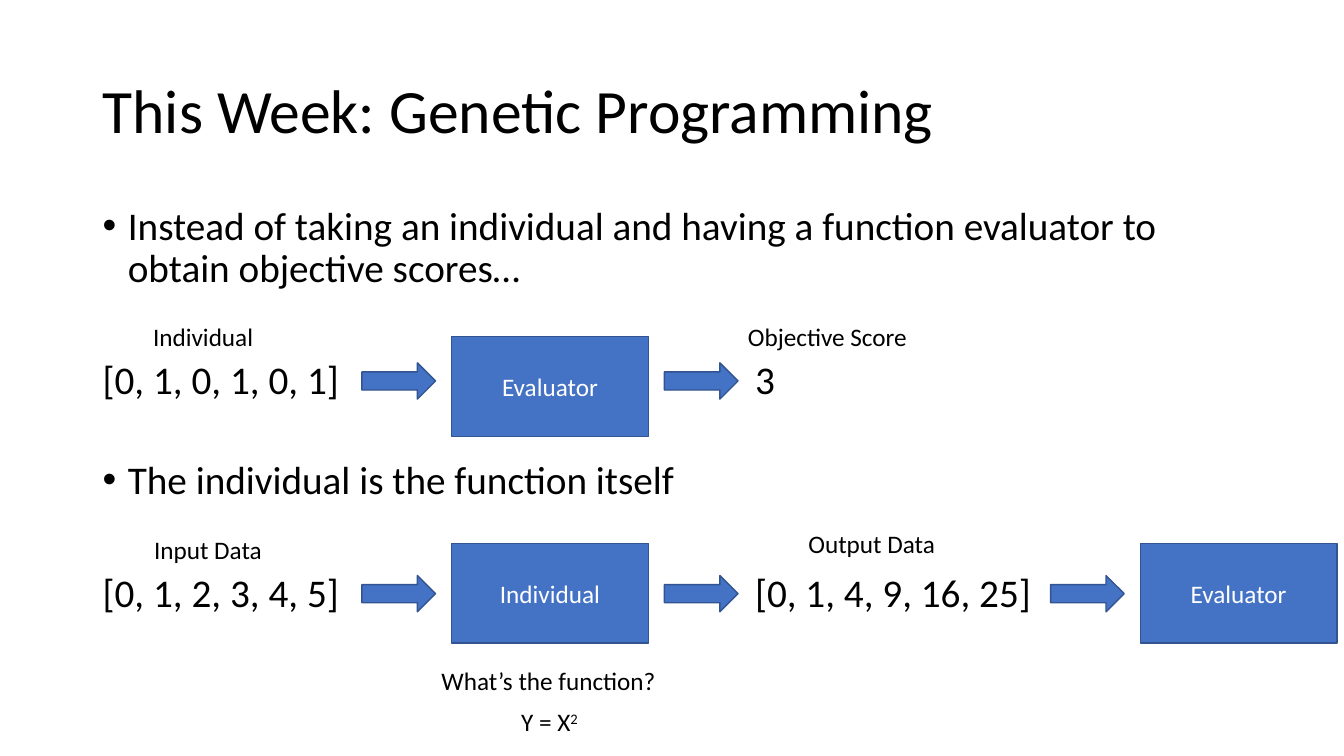
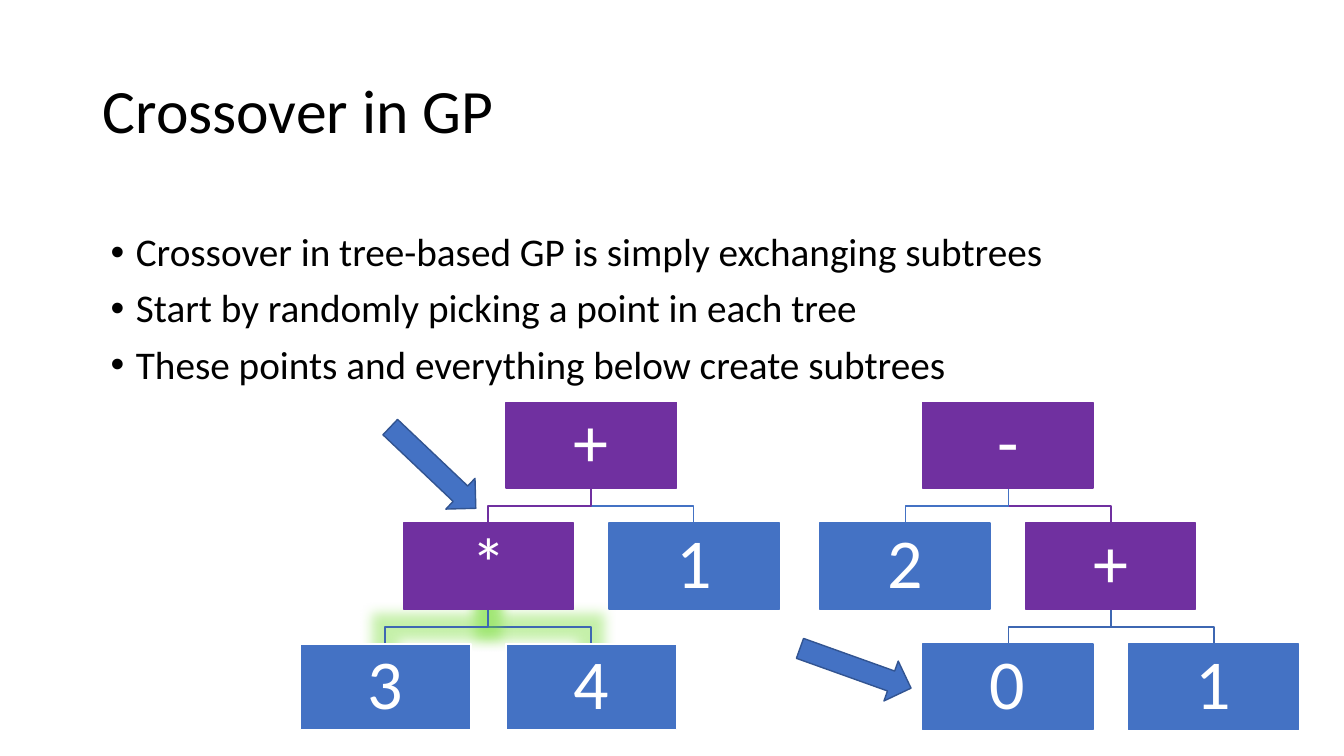
from lxml.etree import SubElement
from pptx import Presentation
from pptx.dml.color import RGBColor
from pptx.enum.shapes import MSO_SHAPE as SHAPE
from pptx.enum.text import MSO_ANCHOR as ANCHOR, PP_ALIGN as ALIGN
from pptx.oxml.ns import qn
from pptx.util import Emu, Pt

PX = 9144
FONT = "Calibri"
COLORS = {
    "text": "000000",
    "white": "FFFFFF",
    "blue": "4472C4",
    "outline": "325491",
    "edge": "3E67B2",
    "purple": "7030A0",
    "glow": "6FDB2A",
}
NODE_W, NODE_H = 169, 85
BRANCH, LEVEL = 102, 120


def px(n):
    """Convert px to EMU."""
    return Emu(round(n * PX))


def rgb(name):
    """Look up a named colour."""
    return RGBColor.from_string(COLORS[name])


def write(tf, paras, size=18, color="text", align=ALIGN.LEFT, anchor=ANCHOR.TOP,
          wrap=True, spacing=None, before=0, bullet=False, inset=None):
    """Fill a text frame; each paragraph is a string or a list of (text, baseline)."""
    tf.word_wrap = wrap
    tf.vertical_anchor = anchor
    if inset is not None:
        tf.margin_left = tf.margin_right = px(inset)
        tf.margin_top = tf.margin_bottom = px(inset)
    for i, para in enumerate(paras):
        p = tf.add_paragraph() if i else tf.paragraphs[0]
        p.alignment = align
        p.space_before = Pt(before)
        if spacing:
            p.line_spacing = spacing
        if bullet:
            pPr = p._p.get_or_add_pPr()
            pPr.set("marL", "228600")
            pPr.set("indent", "-228600")
            SubElement(pPr, qn("a:buFont"), typeface="Arial")
            SubElement(pPr, qn("a:buChar"), char="•")
        for text, baseline in [(para, 0)] if isinstance(para, str) else para:
            r = p.add_run()
            r.text = text
            r.font.name = FONT
            r.font.size = Pt(size)
            r.font.color.rgb = rgb(color)
            if baseline:
                r._r.get_or_add_rPr().set("baseline", str(baseline * 1000))


def add_text(sl, x, y, w, h, paras, **fmt):
    """Add a text box."""
    sp = sl.shapes.add_textbox(px(x), px(y), px(w), px(h))
    write(sp.text_frame, paras, **fmt)


def add_label(sl, x, y, w, para):
    """Add a one-line 18 pt caption."""
    add_text(sl, x, y, w, 40, [para], wrap=False)


def add_bullets(sl, x, y, h, paras):
    """Add a bulleted body block."""
    add_text(sl, x, y, 1150, h, paras, size=28, spacing=0.9, before=10, bullet=True)


def add_data(sl, x, mid, text):
    """Add a body-size value centred on a height."""
    add_text(sl, x, mid - 25, 320, 50, [text], size=28, spacing=0.9,
             anchor=ANCHOR.MIDDLE)


def add_solid(sl, kind, x, y, w, h, fill="blue", line="outline", rotation=0):
    """Add a filled, outlined preset shape."""
    sp = sl.shapes.add_shape(kind, px(x), px(y), px(w), px(h))
    sp.shadow.inherit = False
    sp.fill.solid()
    sp.fill.fore_color.rgb = rgb(fill)
    sp.line.color.rgb = rgb(line)
    sp.line.width = Pt(1)
    sp.rotation = rotation
    return sp


def add_arrow(sl, x, y, w=73, h=36, rotation=0):
    """Add a block arrow."""
    add_solid(sl, SHAPE.RIGHT_ARROW, x, y, w, h, rotation=rotation)


def add_box(sl, x, y, text):
    """Add a process box."""
    sp = add_solid(sl, SHAPE.RECTANGLE, x, y, 195, 99)
    write(sp.text_frame, [text], color="white", align=ALIGN.CENTER, anchor=ANCHOR.MIDDLE)


def add_flow(sl, x, y, lift, source, box, result):
    """Add a row of input, box and output; y is the arrow top, lift the box rise."""
    for left, label_y, (text, label, dx, width) in (
        (x, y - 46, source),
        (x + 647, y - lift - 20, result),
    ):
        add_data(sl, left, y + 19, text)
        add_label(sl, x + dx, label_y, width, label)
    add_arrow(sl, x + 267, y)
    add_box(sl, x + 356, y - lift, box)
    add_arrow(sl, x + 567, y)


def add_edge(sl, x, y, dx, color, glow):
    """Add a stepped branch from a parent's foot to a child's top."""
    drop = LEVEL - NODE_H
    fb = sl.shapes.build_freeform(x, y, scale=PX)
    fb.add_line_segments([(x, y + drop / 2), (x + dx, y + drop / 2), (x + dx, y + drop)],
                         close=False)
    sp = fb.convert_to_shape()
    sp.shadow.inherit = False
    sp.fill.background()
    sp.line.color.rgb = rgb(color)
    sp.line.width = Pt(1)
    if glow:
        effects = sp._element.spPr.find(qn("a:effectLst"))
        halo = SubElement(effects, qn("a:glow"), rad="228600")
        clr = SubElement(halo, qn("a:srgbClr"), val=COLORS["glow"])
        SubElement(clr, qn("a:alpha"), val="40000")


def add_tree(sl, x, y, node, picked=None, depth=0, line=None):
    """Add a binary expression tree whose root box sits at x, y."""
    label, *children = node
    fill = "purple" if children else "blue"
    glow = label == picked
    branches = list(zip((-BRANCH, BRANCH), children))
    for dx, child in reversed(branches):
        color = "edge" if depth else ("purple" if len(child) > 1 else "blue")
        add_edge(sl, x + NODE_W / 2, y + NODE_H, dx, color, glow)
    for dx, child in branches:
        add_tree(sl, x + dx, y + LEVEL, child, picked, depth + 1,
                 "white" if glow else None)
    sp = add_solid(sl, SHAPE.RECTANGLE, x, y, NODE_W, NODE_H, fill, line or fill)
    write(sp.text_frame, [label], size=50, color="white", align=ALIGN.CENTER,
          anchor=ANCHOR.MIDDLE, spacing=0.9, inset=3)


def add_slide(prs, title):
    """Add a blank slide with the shared title."""
    sl = prs.slides.add_slide(prs.slide_layouts[6])
    add_text(sl, 92, 40, 1150, 145, [title], size=44, anchor=ANCHOR.MIDDLE, spacing=0.9)
    return sl


def programming_slide(prs):
    """Build the slide that introduces genetic programming."""
    sl = add_slide(prs, "This Week: Genetic Programming")
    add_bullets(sl, 92, 200, 95, [
        "Instead of taking an individual and having a function evaluator to "
        "obtain objective scores…"])
    add_flow(sl, 92, 360, 26, ("[0, 1, 0, 1, 0, 1]", "Individual", 50, 121),
             "Evaluator", ("3", "Objective Score", 640, 180))
    add_bullets(sl, 92, 452, 53, ["The individual is the function itself"])
    add_flow(sl, 92, 571, 32, ("[0, 1, 2, 3, 4, 5]", "Input Data", 51, 128),
             "Individual", ("[0, 1, 4, 9, 16, 25]", "Output Data", 700, 147))
    add_arrow(sl, 1042, 571)
    add_box(sl, 1131, 539, "Evaluator")
    add_label(sl, 428, 655, 235, "What’s the function?")
    add_label(sl, 507, 696, 78, [("Y = X", 0), ("2", 30)])


def crossover_slide(prs):
    """Build the slide on exchanging subtrees."""
    sl = add_slide(prs, "Crossover in GP")
    add_bullets(sl, 100, 226, 476, [
        "Crossover in tree-based GP is simply exchanging subtrees",
        "Start by randomly picking a point in each tree",
        "These points and everything below create subtrees"])
    add_tree(sl, 502, 399, ("+", ("*", ("3",), ("4",)), ("1",)), picked="*")
    add_tree(sl, 915, 399, ("-", ("2",), ("+", ("0",), ("1",))))
    add_arrow(sl, 371, 443, 117, 42, 43.5)
    add_arrow(sl, 790, 642, 117, 42, 19.7)


def main():
    """Build and save the deck."""
    prs = Presentation()
    prs.slide_width, prs.slide_height = px(1333), px(750)
    programming_slide(prs)
    crossover_slide(prs)
    prs.save("out.pptx")


if __name__ == "__main__":
    main()
